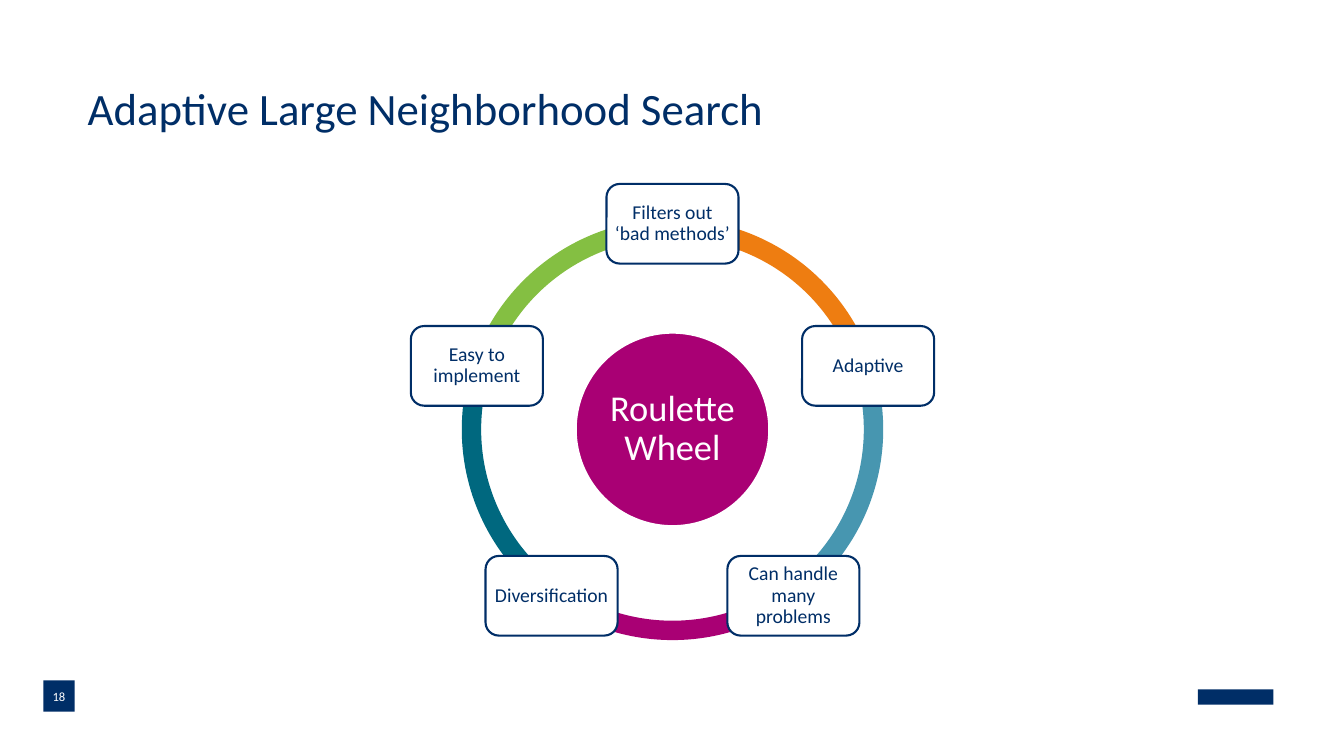
from dataclasses import dataclass
from math import cos, radians, sin

from pptx import Presentation
from pptx.dml.color import RGBColor as RGB
from pptx.enum.shapes import MSO_SHAPE as Kind
from pptx.enum.text import MSO_ANCHOR as Anchor, PP_ALIGN as Align
from pptx.util import Inches, Pt


@dataclass(frozen=True)
class Theme:
    font: str = "Calibri"
    navy: str = "002E67"
    white: str = "FFFFFF"
    plum: str = "A90074"
    title: int = 32
    hub: int = 26
    node: int = 14
    page: int = 9
    line: float = 1.5


THEME = Theme()
MID_X, MID_Y = 6.67, 4.26
RING_D, HUB_D = 4.18, 1.92
ORBIT = 2.04
NODE_W, NODE_H = 1.31, 0.79
TURN = 72

# Clockwise from the top: node lines, colour of the arc that follows
STEPS = [
    (["Filters out", "‘bad methods’"], "EE7D11"),
    (["Adaptive"], "4796B0"),
    (["Can handle", "many", "problems"], "A90074"),
    (["Diversification"], "00687F"),
    (["Easy to", "implement"], "84BF42"),
]


def write(shape, lines, size, color, align=Align.CENTER, gap=0.9, inset=0, wrap=True):
    frame = shape.text_frame
    frame.word_wrap = wrap
    frame.vertical_anchor = Anchor.MIDDLE
    frame.margin_left = frame.margin_right = Inches(inset)
    frame.margin_top = frame.margin_bottom = Inches(inset)
    for i, line in enumerate(lines):
        para = frame.paragraphs[0] if i == 0 else frame.add_paragraph()
        para.alignment = align
        para.line_spacing = gap
        run = para.add_run()
        run.text = line
        run.font.name = THEME.font
        run.font.size = Pt(size)
        run.font.color.rgb = RGB.from_string(color)


def add_form(slide, kind, x, y, w, h, fill, line=None):
    shape = slide.shapes.add_shape(kind, Inches(x), Inches(y), Inches(w), Inches(h))
    shape.shadow.inherit = False
    shape.fill.solid()
    shape.fill.fore_color.rgb = RGB.from_string(fill)
    if line:
        shape.line.color.rgb = RGB.from_string(line)
        shape.line.width = Pt(THEME.line)
    else:
        shape.line.fill.background()
    return shape


def add_mid(slide, kind, x, y, w, h, fill, line=None):
    """Add a shape centred on x, y."""
    return add_form(slide, kind, x - w / 2, y - h / 2, w, h, fill, line)


def add_arc(slide, start, color):
    """Add one ring segment that runs clockwise from start, in degrees."""
    arc = add_mid(slide, Kind.BLOCK_ARC, MID_X, MID_Y, RING_D, RING_D, color)
    # Angles are stored in 60000ths of a degree, adjustments in 100000ths
    arc.adjustments[0] = start % 360 * 0.6
    arc.adjustments[1] = (start + TURN) % 360 * 0.6
    arc.adjustments[2] = 0.046


def add_node(slide, angle, lines):
    x = MID_X + ORBIT * cos(radians(angle))
    y = MID_Y + ORBIT * sin(radians(angle))
    node = add_mid(slide, Kind.ROUNDED_RECTANGLE, x, y, NODE_W, NODE_H,
                   THEME.white, THEME.navy)
    write(node, lines, THEME.node, THEME.navy, wrap=False)


def add_title(slide, text):
    box = slide.shapes.add_textbox(Inches(0.87), Inches(0.87), Inches(11.6), Inches(0.46))
    write(box, [text], THEME.title, THEME.navy, align=Align.LEFT)


def add_hub(slide, text):
    hub = add_mid(slide, Kind.OVAL, MID_X, MID_Y, HUB_D, HUB_D, THEME.plum, THEME.white)
    write(hub, [text], THEME.hub, THEME.white, inset=0.04)


def add_foot(slide, page):
    add_form(slide, Kind.RECTANGLE, 11.88, 6.84, 0.75, 0.15, THEME.navy)
    tag = add_form(slide, Kind.RECTANGLE, 0.43, 6.75, 0.31, 0.31, THEME.navy)
    write(tag, [page], THEME.page, THEME.white, gap=1.0)


def main():
    deck = Presentation()
    deck.slide_width, deck.slide_height = Inches(13.33), Inches(7.5)
    slide = deck.slides.add_slide(deck.slide_layouts[6])

    add_title(slide, "Adaptive Large Neighborhood Search")
    ring = [(270 + i * TURN, *step) for i, step in enumerate(STEPS)]
    for angle, _, color in reversed(ring):
        add_arc(slide, angle, color)
    add_hub(slide, "Roulette Wheel")
    for angle, lines, _ in ring:
        add_node(slide, angle, lines)
    add_foot(slide, "18")

    deck.save("out.pptx")


if __name__ == "__main__":
    main()
